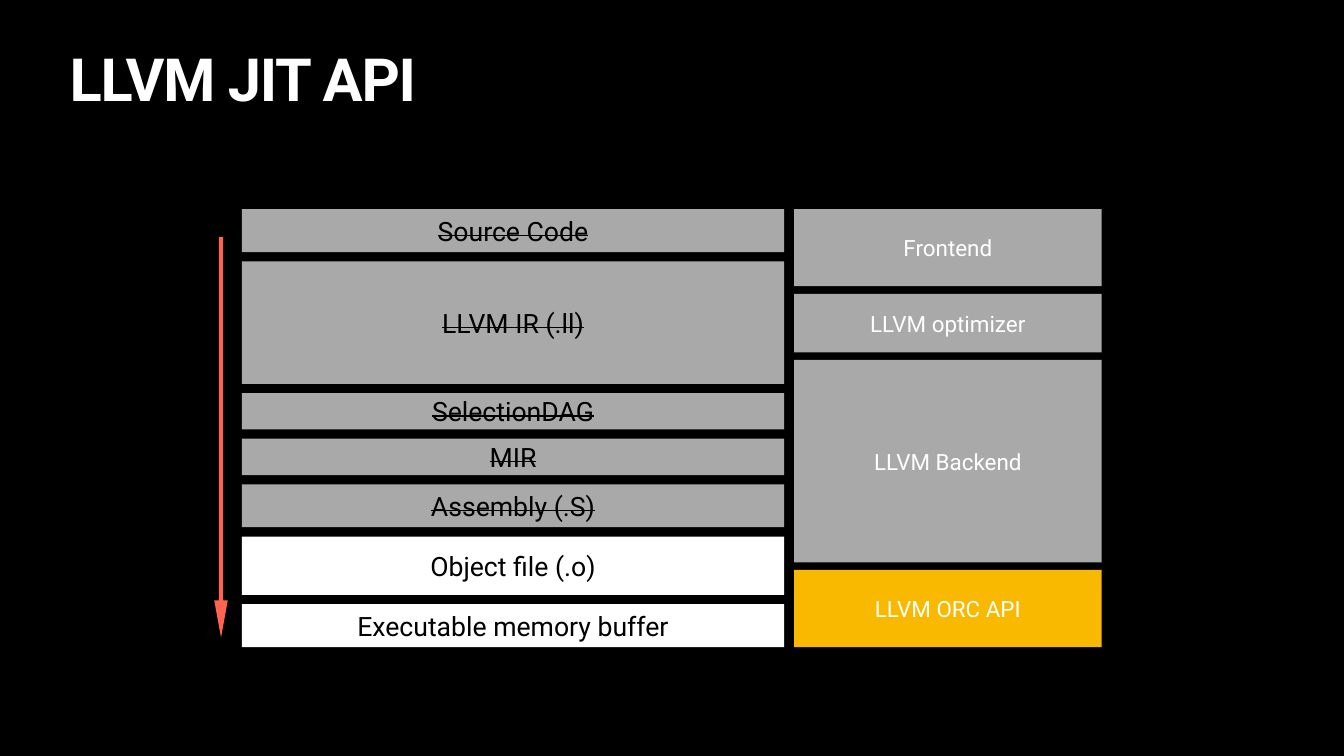
from dataclasses import dataclass

from pptx import Presentation, util as u
from pptx.dml.color import RGBColor
from pptx.enum import shapes, text


@dataclass(frozen=True)
class Theme:
    """Colours, font and type sizes of the slide."""
    font: str = "Roboto"
    back: str = "000000"
    dark: str = "000000"
    light: str = "FFFFFF"
    muted: str = "A9A9A9"
    accent: str = "F9B900"
    arrow: str = "FF644E"
    title_size: int = 85
    stage_size: int = 38
    tool_size: int = 32
    inset: float = 0.06


class Deck:
    """Draws elements on the current slide, with lengths in percent of its size."""

    def __init__(self, prs, theme):
        """Add a title-only slide with a plain background."""
        self.prs, self.theme = prs, theme
        self.s = prs.slides.add_slide(prs.slide_layouts[5])
        self.fill(self.s.background, theme.back)

    def box(self, x, y, w, h):
        """Turn percentages into lengths."""
        width, height = self.prs.slide_width, self.prs.slide_height
        return [u.Emu(round(share * size / 100)) for share, size in
                ((x, width), (y, height), (w, width), (h, height))]

    def fill(self, item, color):
        """Fill an item with a solid colour."""
        item.fill.solid()
        item.fill.fore_color.rgb = RGBColor.from_string(color)

    def label(self, sp, words, size, color, align, anchor, **attrs):
        """Set and format the one line of text in a shape."""
        tf = sp.text_frame
        tf.text = words
        tf.word_wrap = True
        tf.auto_size = text.MSO_AUTO_SIZE.NONE
        tf.vertical_anchor = anchor
        tf.margin_left = tf.margin_right = u.Inches(self.theme.inset)
        tf.margin_top = tf.margin_bottom = u.Inches(self.theme.inset)
        p = tf.paragraphs[0]
        p.alignment = align
        r = p.runs[0]
        r.font.name, r.font.size = self.theme.font, u.Pt(size)
        r.font.color.rgb = RGBColor.from_string(color)
        for name, value in attrs.items():
            r._r.get_or_add_rPr().set(name, value)
        return p

    def title(self, words, *place):
        """Place and format the title."""
        sp = self.s.shapes.title
        sp.left, sp.top, sp.width, sp.height = self.box(*place)
        p = self.label(sp, words, self.theme.title_size, self.theme.light,
                       text.PP_ALIGN.LEFT, text.MSO_ANCHOR.TOP, spc="-170")
        p.line_spacing = 0.8
        p.runs[0].font.bold = True

    def shape(self, kind, color, lengths):
        """Add a plain filled shape without line or shadow."""
        sp = self.s.shapes.add_shape(kind, *lengths)
        sp.shadow.inherit = False
        sp.line.fill.background()
        self.fill(sp, color)
        return sp

    def stack(self, x, y, w, h, size, color, items):
        """Stack labelled blocks with equal gaps to fill a column."""
        gap = (h - sum(item[1] for item in items)) / (len(items) - 1)
        for words, height, back, struck in items:
            sp = self.shape(shapes.MSO_SHAPE.RECTANGLE, back, self.box(x, y, w, height))
            attrs = {"strike": "sngStrike"} if struck else {}
            self.label(sp, words, size, color, text.PP_ALIGN.CENTER,
                       text.MSO_ANCHOR.MIDDLE, **attrs)
            y += height + gap

    def down_arrow(self, *place):
        """Add a right arrow turned to point down within the given place."""
        left, top, width, height = self.box(*place)
        shift = (height - width) // 2
        sp = self.shape(shapes.MSO_SHAPE.RIGHT_ARROW, self.theme.arrow,
                        (left - shift, top + shift, height, width))
        sp.rotation = 90
        sp.adjustments[0], sp.adjustments[1] = 0.32, 2.74


def main():
    """Build the slide and save it."""
    prs = Presentation()
    prs.slide_width, prs.slide_height = u.Inches(26.67), u.Inches(15)
    theme = Theme()
    deck = Deck(prs, theme)
    top, height = 27.67, 57.93

    deck.title("LLVM JIT API", 4.95, 6.93, 90.1, 10.47)
    deck.stack(18, top, 40.35, height, theme.stage_size, theme.dark, [
        ("Source Code", 5.67, theme.muted, True),
        ("LLVM IR (.ll)", 16.2, theme.muted, True),
        ("SelectionDAG", 4.8, theme.muted, True),
        ("MIR", 4.8, theme.muted, True),
        ("Assembly (.S)", 5.67, theme.muted, True),
        ("Object file (.o)", 7.73, theme.light, False),
        ("Executable memory buffer", 5.67, theme.light, False),
    ])
    deck.stack(59.09, top, 22.87, height, theme.tool_size, theme.light, [
        ("Frontend", 10.2, theme.muted, False),
        ("LLVM optimizer", 7.73, theme.muted, False),
        ("LLVM Backend", 26.8, theme.muted, False),
        ("LLVM ORC API", 10.2, theme.accent, False),
    ])
    deck.down_arrow(15.94, 31.33, 1.01, 53)
    prs.save("out.pptx")


if __name__ == "__main__":
    main()
